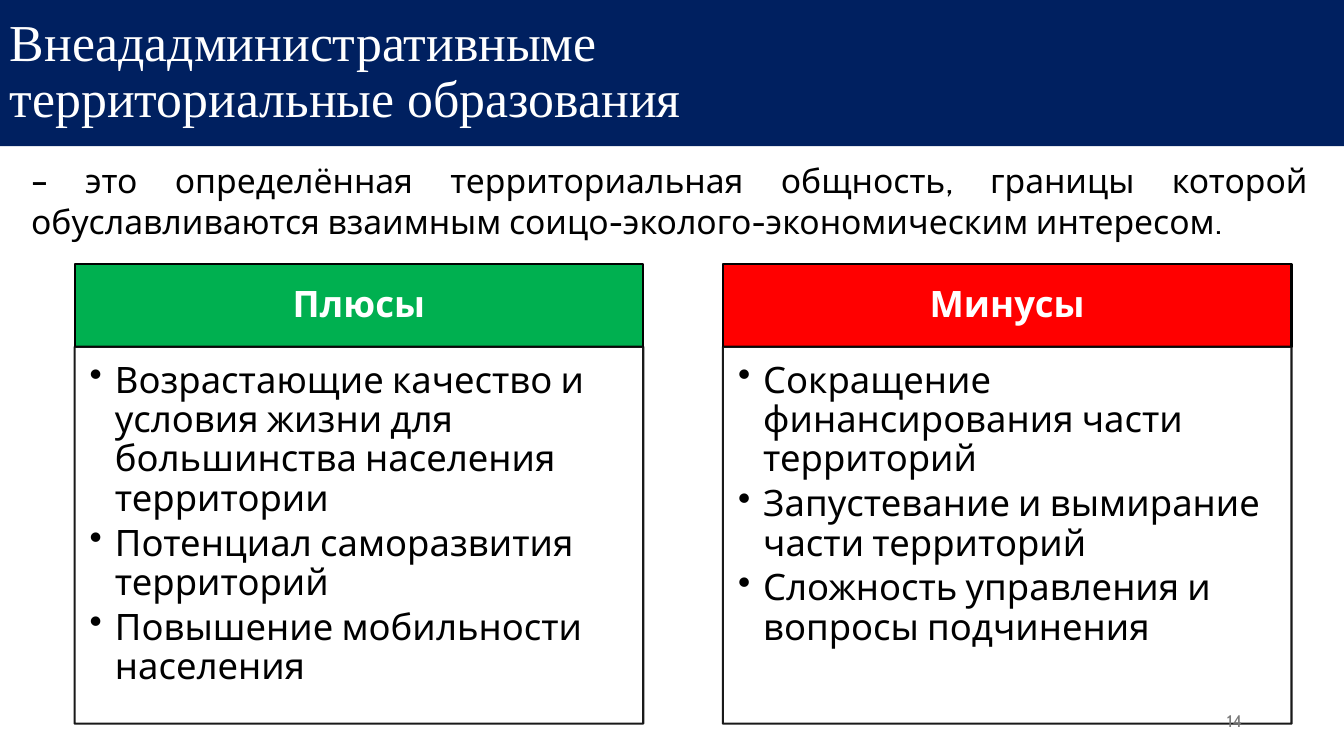
import dataclasses

import lxml.etree
import pptx
import pptx.dml.color
import pptx.enum.shapes
import pptx.enum.text
import pptx.oxml.ns
import pptx.util

Inches = pptx.util.Inches
Pt = pptx.util.Pt
ALIGN = pptx.enum.text.PP_ALIGN
ANCHOR = pptx.enum.text.MSO_ANCHOR


@dataclasses.dataclass(frozen=True)
class Theme:
    body_font: str = "Cabin"
    title_font: str = "Times New Roman"
    title_size: int = 37
    intro_size: int = 24
    card_size: int = 26
    number_size: int = 12
    navy: str = "002060"
    green: str = "00B050"
    red: str = "FF0000"
    black: str = "000000"
    white: str = "FFFFFF"
    gray: str = "797979"
    outline: float = 1.5
    panel_opacity: int = 90


THEME = Theme()

TITLE = "Внеададминистративныме\vтерриториальные образования"
INTRO = ("– это определённая территориальная общность, границы которой "
         "обуславливаются взаимным соицо-эколого-экономическим интересом.")
CARDS = [
    ("Плюсы", THEME.green, [
        "Возрастающие качество и условия жизни для большинства населения территории",
        "Потенциал саморазвития территорий",
        "Повышение мобильности населения",
    ]),
    ("Минусы", THEME.red, [
        "Сокращение финансирования части территорий",
        "Запустевание и вымирание части территорий",
        "Сложность управления и вопросы подчинения",
    ]),
]


def color(value):
    return pptx.dml.color.RGBColor.from_string(value)


def set_opacity(color_format_owner, percent):
    """Make every solid colour inside a fill or line partly transparent."""
    for element in color_format_owner.iter(pptx.oxml.ns.qn("a:srgbClr")):
        alpha = lxml.etree.SubElement(element, pptx.oxml.ns.qn("a:alpha"))
        alpha.set("val", str(percent * 1000))


def add_bullet(paragraph, indent):
    properties = paragraph._p.get_or_add_pPr()
    properties.set("marL", str(Inches(indent)))
    properties.set("indent", str(-Inches(indent)))
    bullet = lxml.etree.SubElement(properties, pptx.oxml.ns.qn("a:buChar"))
    bullet.set("char", "•")


def add_rectangle(slide, box, fill, outline=None):
    shape = slide.shapes.add_shape(
        pptx.enum.shapes.MSO_SHAPE.RECTANGLE, *map(Inches, box))
    shape.shadow.inherit = False
    shape.fill.solid()
    shape.fill.fore_color.rgb = color(fill)
    if outline:
        shape.line.color.rgb = color(outline)
        shape.line.width = Pt(THEME.outline)
    else:
        shape.line.fill.background()
    return shape


def write(shape, text, size, text_color, font=THEME.body_font, bold=False,
          align=ALIGN.LEFT, anchor=ANCHOR.TOP, insets=(0.1, 0.05, 0.1, 0.05),
          line_spacing=1.0, space_after=0, bullet_indent=None):
    frame = shape.text_frame
    frame.word_wrap = True
    frame.vertical_anchor = anchor
    (frame.margin_left, frame.margin_top,
     frame.margin_right, frame.margin_bottom) = map(Inches, insets)
    frame.text = text
    for paragraph in frame.paragraphs:
        paragraph.alignment = align
        paragraph.line_spacing = line_spacing
        paragraph.space_after = Pt(space_after)
        if bullet_indent:
            add_bullet(paragraph, bullet_indent)
        for run in paragraph.runs:
            run.font.name = font
            run.font.size = Pt(size)
            run.font.bold = bold
            run.font.color.rgb = color(text_color)


def add_title(slide, box):
    write(add_rectangle(slide, box, THEME.navy), TITLE, THEME.title_size,
          THEME.white, font=THEME.title_font, anchor=ANCHOR.MIDDLE,
          line_spacing=0.9)


def add_intro(slide, box):
    write(slide.shapes.add_textbox(*map(Inches, box)), INTRO,
          THEME.intro_size, THEME.black, align=ALIGN.JUSTIFY)


def add_card(slide, box, heading, fill, items):
    left, top, width, height = box
    header_height = 0.82

    # Coloured header
    header = add_rectangle(slide, (left, top, width, header_height),
                           fill, THEME.black)
    write(header, heading, THEME.card_size, THEME.white, bold=True,
          align=ALIGN.CENTER, anchor=ANCHOR.MIDDLE,
          insets=(0.2, 0.12, 0.2, 0.12), line_spacing=0.9)

    # Bulleted panel
    panel = add_rectangle(
        slide, (left, top + header_height, width, height - header_height),
        THEME.white, THEME.black)
    set_opacity(panel._element.spPr, THEME.panel_opacity)
    write(panel, "\n".join(items), THEME.card_size, THEME.black,
          insets=(0.15, 0.15, 0.2, 0.23), line_spacing=0.9,
          space_after=4, bullet_indent=0.25)


def add_cards(slide, box, gap):
    left, top, width, height = box
    card_width = (width - gap * (len(CARDS) - 1)) / len(CARDS)
    for index, card in enumerate(CARDS):
        card_left = left + index * (card_width + gap)
        add_card(slide, (card_left, top, card_width, height), *card)


def add_slide_number(slide, box):
    write(slide.shapes.add_textbox(*map(Inches, box)), "14",
          THEME.number_size, THEME.gray, align=ALIGN.RIGHT,
          anchor=ANCHOR.MIDDLE)


def main():
    presentation = pptx.Presentation()
    presentation.slide_width = Inches(13.33)
    presentation.slide_height = Inches(7.5)
    slide = presentation.slides.add_slide(presentation.slide_layouts[6])

    add_intro(slide, (0.21, 1.54, 12.86, 0.91))
    add_cards(slide, (0.74, 2.62, 12.07, 4.56), gap=0.79)
    add_slide_number(slide, (9.42, 6.95, 3, 0.4))
    add_title(slide, (0, 0, 13.33, 1.45))

    presentation.save("out.pptx")


if __name__ == "__main__":
    main()
